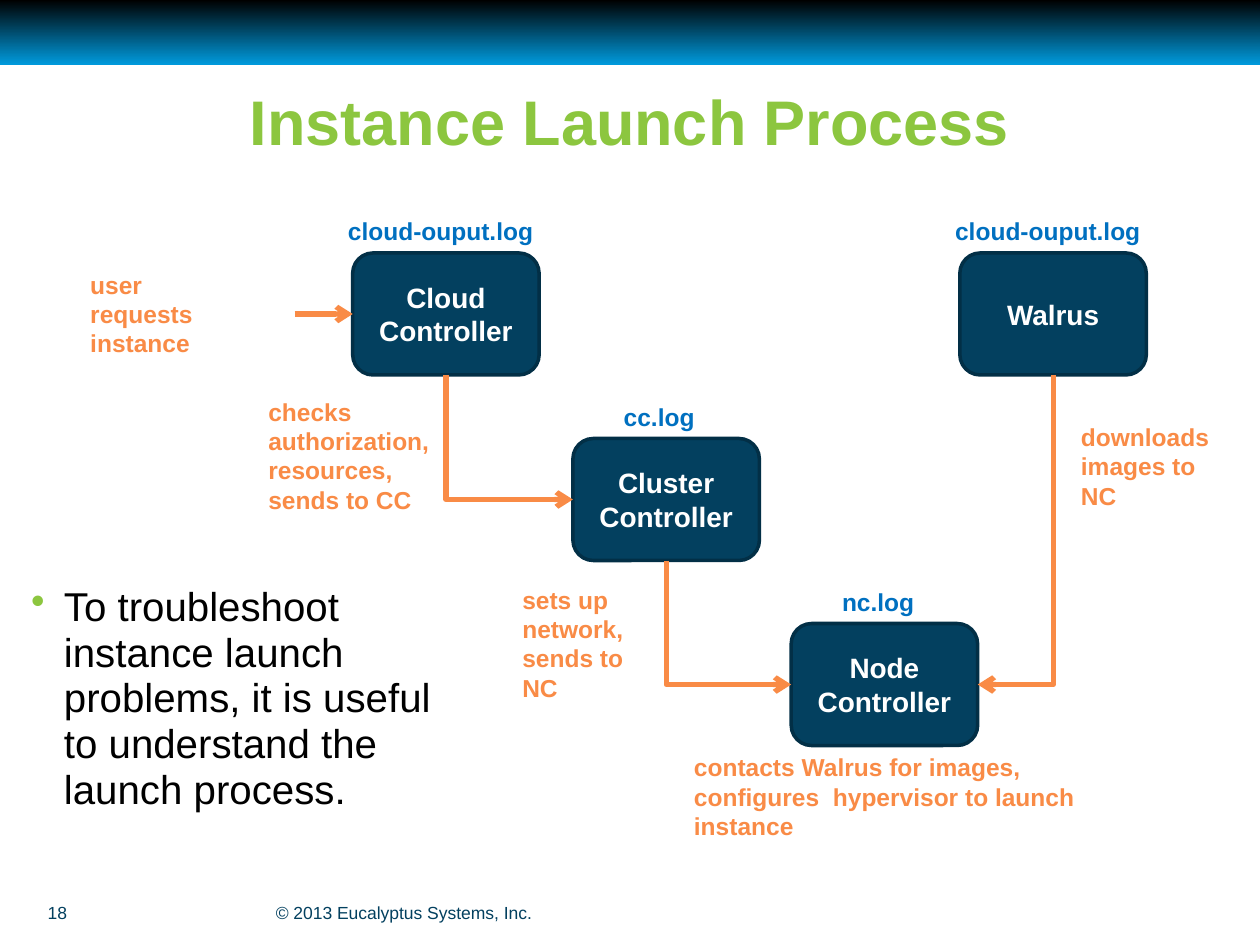
from lxml.etree import SubElement
from pptx import Presentation
from pptx.dml.color import RGBColor
from pptx.enum.shapes import MSO_CONNECTOR, MSO_SHAPE
from pptx.enum.text import MSO_ANCHOR, PP_ALIGN
from pptx.oxml.ns import qn
from pptx.util import Cm, Pt

HUES = {"navy": "03405F", "edge": "022F46", "sky": "0099DB", "black": "000000",
        "green": "8CC63F", "orange": "F98B46", "blue": "0070C0", "white": "FFFFFF"}
NODE_W, NODE_H = 3.76, 2.46
NODES = {
    "Cloud Controller": (5.54, 0.86, "cloud-ouput.log", 4.45),
    "Cluster Controller": (9.98, 4.6, "cc.log", 2.21),
    "Node Controller": (14.38, 8.33, "nc.log", 2.21),
    "Walrus": (17.78, 0.86, "cloud-ouput.log", 4.45),
}
NOTES = [
    ("user requests instance", 0, 1.07, 2.79, 2.06),
    ("downloads images to NC", 19.97, 4.14, 3.43, 2.06),
    ("checks authorization, resources, sends to CC", 3.59, 3.63, 3.84, 2.64),
    ("sets up network, sends to NC", 8.71, 7.42, 2.9, 2.64),
    ("contacts Walrus for images,\nconfigures  hypervisor to launch instance",
     12.17, 10.8, 8.2, 2.06),
]


def hue(name):
    """Return the named colour."""
    return RGBColor.from_string(HUES[name])


def style(frame, size, tint, bold=False, align=PP_ALIGN.LEFT):
    """Format every run of a text frame."""
    frame.word_wrap = True
    for para in frame.paragraphs:
        para.alignment = align
        for run in para.runs:
            font = run.font
            font.name, font.size, font.bold = "Arial", Pt(size), bold
            font.color.rgb = hue(tint)


def label(slide, text, box, size, tint, bold=False, align=PP_ALIGN.LEFT,
          anchor=MSO_ANCHOR.TOP):
    """Place a text box and return its frame."""
    frame = slide.shapes.add_textbox(*map(Cm, box)).text_frame
    frame.text = text
    frame.vertical_anchor = anchor
    style(frame, size, tint, bold, align)
    return frame


def banner(slide, box):
    """Draw the gradient band."""
    band = slide.shapes.add_shape(MSO_SHAPE.RECTANGLE, *map(Cm, box))
    band.shadow.inherit = False
    band.line.fill.background()
    band.fill.gradient()
    band.fill.gradient_angle = 270
    for stop, tint in zip(band.fill.gradient_stops, ("black", "sky")):
        stop.color.rgb = hue(tint)


def title(slide, box):
    """Write the slide title."""
    frame = label(slide, "Instance Launch Process", box, 36, "green", True,
                  PP_ALIGN.CENTER)
    frame.paragraphs[0].line_spacing = 0.93


def body(slide, box):
    """Write the bulleted advice."""
    text = ("To troubleshoot instance launch problems, "
            "it is useful to understand the launch process.")
    para = label(slide, text, box, 23, "black").paragraphs[0]
    para.line_spacing = 0.95
    props = para._p.get_or_add_pPr()
    props.set("marL", str(Cm(0.66)))
    props.set("indent", str(-Cm(0.66)))
    tint = SubElement(props, qn("a:buClr"))
    SubElement(tint, qn("a:srgbClr"), val=HUES["green"])
    SubElement(props, qn("a:buChar"), char="•")


def footer(slide, box):
    """Write the page number and the copyright line."""
    left, top, width, height = box
    for text, shift, wide in (("18", 0, 1.27),
                              ("© 2013 Eucalyptus Systems, Inc.", 4.6, width - 4.6)):
        label(slide, text, (left + shift, top, wide, height), 10, "navy",
              anchor=MSO_ANCHOR.MIDDLE)


def node(slide, name, left, top):
    """Draw one rounded component."""
    shape = slide.shapes.add_shape(MSO_SHAPE.ROUNDED_RECTANGLE,
                                   *map(Cm, (left, top, NODE_W, NODE_H)))
    shape.shadow.inherit = False
    shape.fill.solid()
    shape.fill.fore_color.rgb = hue("navy")
    shape.line.color.rgb = hue("edge")
    shape.line.width = Pt(2)
    shape.text_frame.text = name
    shape.text_frame.vertical_anchor = MSO_ANCHOR.MIDDLE
    style(shape.text_frame, 16, "white", True, PP_ALIGN.CENTER)


def arrow(slide, kind, *ends):
    """Draw an arrow between two points."""
    link = slide.shapes.add_connector(kind, *map(Cm, ends))
    link.line.color.rgb = hue("orange")
    link.line.width = Pt(3)
    SubElement(link.line._get_or_add_ln(), qn("a:tailEnd"), type="arrow")
    SubElement(link._element.spPr, qn("a:effectLst"))
    return link


def bend(slide, x1, y1, x2, y2):
    """Draw an arrow that runs down and then sideways."""
    midx, midy = (x1 + x2) / 2, (y1 + y2) / 2
    halfw, halfh = (y2 - y1) / 2, abs(x2 - x1) / 2
    link = arrow(slide, MSO_CONNECTOR.ELBOW, midx - halfw, midy - halfh,
                 midx + halfw, midy + halfh)
    props = link._element.spPr
    props.find(qn("a:prstGeom")).set("prst", "bentConnector2")
    frame = props.find(qn("a:xfrm"))
    frame.set("rot", str((270 if x2 > x1 else 90) * 60000))
    if x2 > x1:
        frame.set("flipH", "1")


def flow(slide, box):
    """Draw the launch diagram."""
    left, top = box[:2]
    spots = {}
    for name, (x, y, log, wide) in NODES.items():
        x, y = left + x, top + y
        spots[name] = x, y
        node(slide, name, x, y)
        label(slide, log, (x + (NODE_W - wide) / 2, y - 0.86, wide, 0.86),
              14, "blue", True)
    for start, end in (("Cloud Controller", "Cluster Controller"),
                       ("Cluster Controller", "Node Controller"),
                       ("Walrus", "Node Controller")):
        (x1, y1), (x2, y2) = spots[start], spots[end]
        side = x2 if x2 > x1 else x2 + NODE_W
        bend(slide, x1 + NODE_W / 2, y1 + NODE_H, side, y2 + NODE_H / 2)
    x, y = spots["Cloud Controller"]
    mid = y + NODE_H / 2
    arrow(slide, MSO_CONNECTOR.STRAIGHT, x - 1.17, mid, x, mid)
    for text, x, y, wide, high in NOTES:
        label(slide, text, (left + x, top + y, wide, high), 14, "orange", True)


def main():
    """Build and save the slide."""
    deck = Presentation()
    deck.slide_width, deck.slide_height = Cm(25.4), Cm(19.05)
    slide = deck.slides.add_slide(deck.slide_layouts[6])
    banner(slide, (0, 0, 25.4, 1.3))
    title(slide, (0.86, 1.68, 23.67, 3.05))
    body(slide, (0.38, 11.66, 8.94, 5.28))
    footer(slide, (0.71, 17.96, 12, 0.86))
    flow(slide, (1.57, 4.24, 23.4, 12.86))
    deck.save("out.pptx")


if __name__ == "__main__":
    main()
